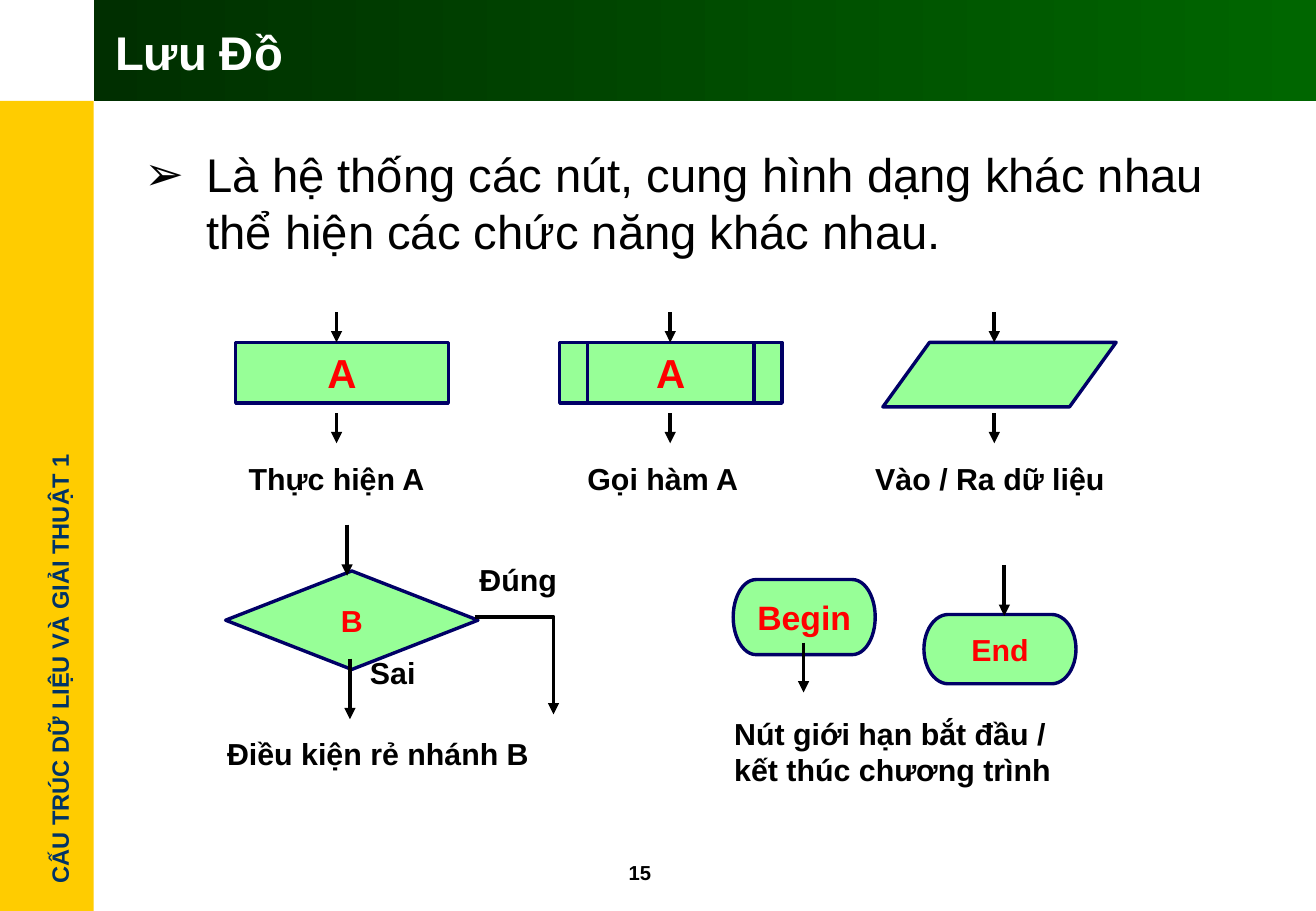
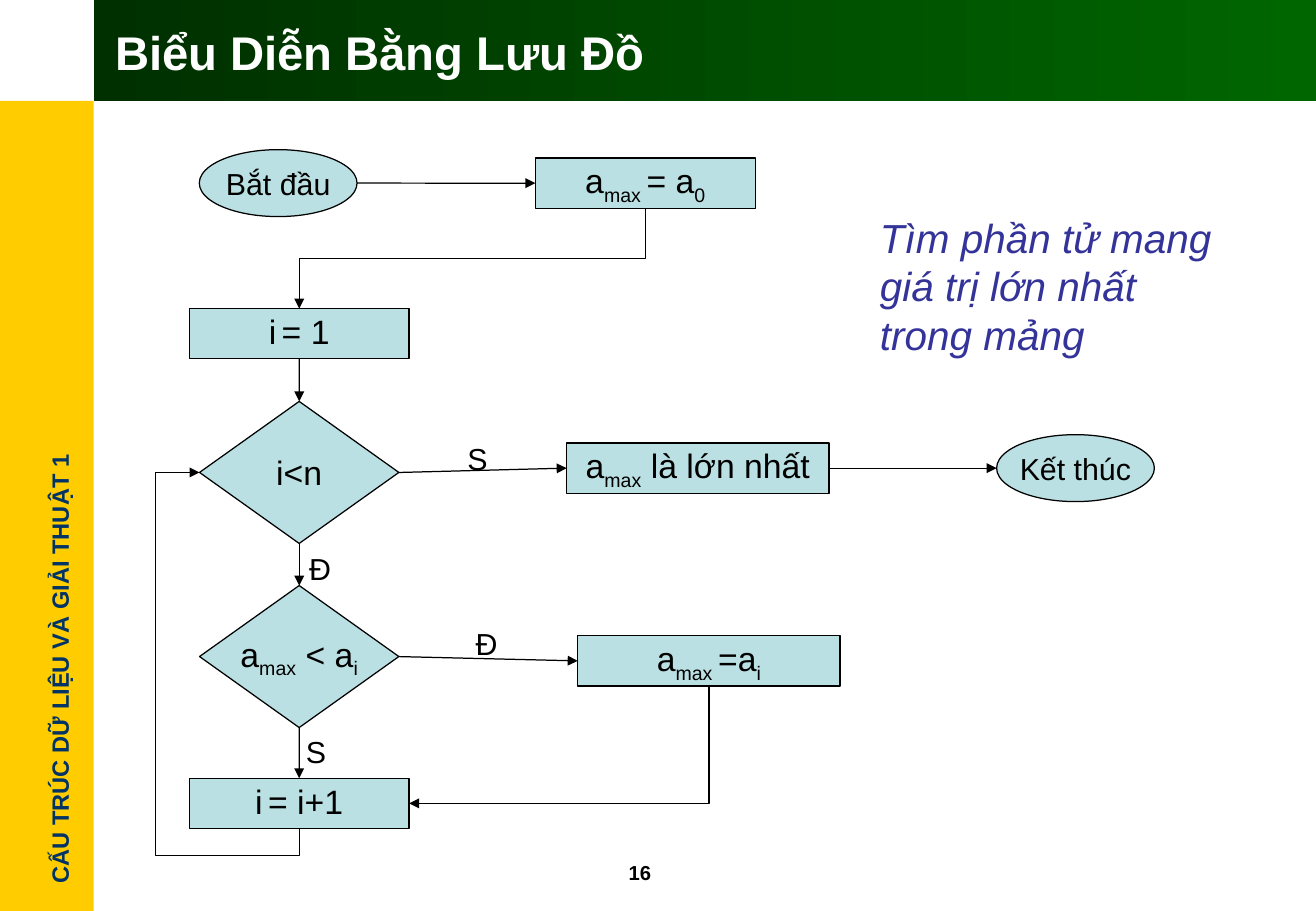
"""Builds two slides on flowcharts: the symbols, and a search for the largest array element."""
from lxml import etree
from pptx import Presentation
from pptx import util as u
from pptx.dml.color import RGBColor
from pptx.enum import shapes, text
from pptx.oxml.ns import qn

SHAPE = shapes.MSO_SHAPE
LINK = shapes.MSO_CONNECTOR
ALIGN = text.PP_ALIGN


class Theme:
    font = "Arial"
    black = RGBColor.from_string("000000")
    white = RGBColor.from_string("FFFFFF")
    side = RGBColor.from_string("FFCC00")
    side_text = RGBColor.from_string("003366")
    band_light = RGBColor.from_string("006600")
    band_dark = RGBColor.from_string("002F00")
    symbol = RGBColor.from_string("97FF97")
    symbol_line = RGBColor.from_string("000066")
    symbol_text = RGBColor.from_string("FF0000")
    step = RGBColor.from_string("BBE0E3")
    note = RGBColor.from_string("333399")
    heading, large, medium, label, course, number = 28, 24, 20, 18, 14, 12
    thick, medium_line, thin = 2.25, 2, 0.75


def add_box(page, place, words="", size=Theme.label, color=Theme.black, kind=None, fill=None,
            line=None, bold=False, italic=False, wrap=False, middle=False):
    """Add a text box or filled shape; every second part of words between bars is a subscript."""
    place = [u.Cm(value) for value in place]
    if kind is None:
        box = page.shapes.add_textbox(*place)
    else:
        box = page.shapes.add_shape(kind, *place)
        box.shadow.inherit = False
        box.fill.solid()
        box.fill.fore_color.rgb = fill
        if line:
            box.line.color.rgb, box.line.width = line[0], u.Pt(line[1])
        else:
            box.line.fill.background()
    if words:
        frame = box.text_frame
        frame.word_wrap = wrap
        frame.vertical_anchor = text.MSO_ANCHOR.MIDDLE if kind or middle else text.MSO_ANCHOR.TOP
        para = frame.paragraphs[0]
        para.alignment = ALIGN.CENTER if kind else ALIGN.LEFT
        for index, part in enumerate(words.split("|")):
            span = para.add_run()
            span.text = part
            if index % 2:
                span._r.get_or_add_rPr().set("baseline", "-25000")
        font = para.font
        font.name, font.size, font.bold, font.italic = Theme.font, u.Pt(size), bold, italic
        font.color.rgb = color
    return box


def style_arrow(arrow, width):
    """Give a connector or open outline a black line with a head at its end."""
    arrow.line.color.rgb, arrow.line.width = Theme.black, u.Pt(width)
    etree.SubElement(arrow.line._get_or_add_ln(), qn("a:tailEnd"), type="triangle")
    etree.SubElement(arrow._element.spPr, qn("a:effectLst"))
    return arrow


deck = Presentation()
deck.slide_width, deck.slide_height = u.Cm(27.53), u.Cm(19.05)

pages = []
for number, title in ((15, "Lưu Đồ"), (16, "Biểu Diễn Bằng Lưu Đồ")):
    page = deck.slides.add_slide(deck.slide_layouts[6])
    add_box(page, (0, 2.11, 1.96, 16.94), kind=SHAPE.RECTANGLE, fill=Theme.side)
    course = add_box(page, (-3.48, 13.56, 9.47, 0.86), "CẤU TRÚC DỮ LIỆU VÀ GIẢI THUẬT 1",
                     Theme.course, Theme.side_text, bold=True)
    course.rotation = 270
    band = add_box(page, (1.96, 0, 25.57, 2.11), kind=SHAPE.RECTANGLE, fill=Theme.band_dark)
    band.fill.gradient()
    band.fill.gradient_angle = 180
    for stop, color in zip(band.fill.gradient_stops, (Theme.band_light, Theme.band_dark)):
        stop.color.rgb = color
    add_box(page, (12.9, 17.86, 2.11, 0.76), str(number), Theme.number, bold=True)
    add_box(page, (2.16, 0.23, 24.82, 1.7), title, Theme.heading, Theme.white, bold=True,
            wrap=True, middle=True)
    pages.append(page)
symbols_page, search_page = pages

intro = add_box(symbols_page, (2.77, 2.92, 23.8, 3),
                "Là hệ thống các nút, cung hình dạng khác nhau thể hiện các chức năng khác nhau.",
                Theme.heading, wrap=True)
bullet = intro.text_frame.paragraphs[0]._p.get_or_add_pPr()
bullet.set("marL", str(u.Cm(1.3)))
bullet.set("indent", str(u.Cm(-1.3)))
bullet.insert(0, etree.Element(qn("a:buFont"), typeface=Theme.font))
bullet.insert(1, etree.Element(qn("a:buChar"), char="➢"))

symbol_look = dict(color=Theme.symbol_text, fill=Theme.symbol, bold=True,
                   line=(Theme.symbol_line, Theme.medium_line))
columns = (
    (SHAPE.RECTANGLE, 4.93, 4.45, 1.27, "A", 7.04, "Thực hiện A", 4.95, 4.6),
    (SHAPE.FLOWCHART_PREDEFINED_PROCESS, 11.71, 4.65, 1.27, "A", 14.02, "Gọi hàm A", 12.04, 4.1),
    (SHAPE.FLOWCHART_DATA, 18.47, 4.88, 1.35, "", 20.8, "Vào / Ra dữ liệu", 18.06, 5.7),
)
arrows = [(7.26, 10.97, 12.04), (7.32, 13.77, 15.04), (16.81, 13.44, 14.48), (21.01, 11.81, 12.88)]
captions = [("Điều kiện rẻ nhánh B", 4.5, 15.24, 7.3), ("Đúng", 9.78, 11.61, 2.5),
            ("Sai", 7.49, 13.56, 1.9)]
for kind, left, width, height, word, x, caption, caption_left, caption_width in columns:
    add_box(symbols_page, (left, 7.16, width, height), word, Theme.large, kind=kind, **symbol_look)
    arrows += [(x, 6.53, 7.16), (x, 8.64, 9.27)]
    captions.append((caption, caption_left, 9.5, caption_width))

for kind, place, word, size in (
    (SHAPE.FLOWCHART_DECISION, (4.72, 11.94, 5.28, 2.06), "B", Theme.label),
    (SHAPE.FLOWCHART_TERMINATOR, (15.34, 12.12, 2.97, 1.57), "Begin", Theme.medium),
    (SHAPE.FLOWCHART_TERMINATOR, (19.33, 12.85, 3.18, 1.45), "End", Theme.label),
):
    add_box(symbols_page, place, word, size, kind=kind, **symbol_look)

for x, top, bottom in arrows:
    arrow = symbols_page.shapes.add_connector(LINK.STRAIGHT, u.Cm(x), u.Cm(top), u.Cm(x), u.Cm(bottom))
    style_arrow(arrow, Theme.thick)

outline = symbols_page.shapes.build_freeform(u.Cm(9.93), u.Cm(12.9))
outline.add_line_segments([(u.Cm(11.58), u.Cm(12.9)), (u.Cm(11.58), u.Cm(14.94))], close=False)
branch = outline.convert_to_shape()
branch.fill.background()
style_arrow(branch, Theme.thick)

for caption, left, top, width in captions:
    add_box(symbols_page, (left, top, width, 1.02), caption, bold=True)
add_box(symbols_page, (15.11, 14.83, 8.03, 1.78), "Nút giới hạn bắt đầu / kết thúc chương trình",
        bold=True, wrap=True)

steps = {}
for name, kind, x, y, width, height, words in (
    ("start", SHAPE.OVAL, 5.82, 3.83, 3.3, 1.4, "Bắt đầu"),
    ("first", SHAPE.RECTANGLE, 13.5, 3.83, 4.6, 1.05, "a|max |= a|0"),
    ("index", SHAPE.RECTANGLE, 6.26, 6.98, 4.6, 1.05, "i| |= 1"),
    ("more", SHAPE.DIAMOND, 6.26, 9.88, 4.17, 2.97, "i<n"),
    ("result", SHAPE.RECTANGLE, 14.6, 9.79, 5.49, 1.05, "a|max| là lớn nhất"),
    ("finish", SHAPE.OVAL, 22.5, 9.79, 3.3, 1.4, "Kết thúc"),
    ("compare", SHAPE.DIAMOND, 6.26, 13.73, 4.17, 2.97, "a|max| < a|i"),
    ("next", SHAPE.RECTANGLE, 6.26, 16.8, 4.6, 1.05, "i| |= i+1"),
    ("assign", SHAPE.RECTANGLE, 14.83, 13.82, 5.49, 1.05, "a|max |=a|i"),
):
    size = Theme.label if kind == SHAPE.OVAL else Theme.medium
    steps[name] = add_box(search_page, (x - width / 2, y - height / 2, width, height), words, size,
                          kind=kind, fill=Theme.step, line=(Theme.black, Theme.thin))

for source, source_side, target, target_side, bend in (
    ("start", 3, "first", 1, None),
    ("first", 2, "index", 0, ("bentConnector3", 90, False, (50000,))),
    ("index", 2, "more", 0, None),
    ("more", 2, "compare", 0, None),
    ("compare", 2, "next", 0, None),
    ("next", 2, "more", 1, ("bentConnector4", 270, True, (-7500, 144200))),
    ("more", 3, "result", 1, None),
    ("result", 3, "finish", 1, None),
    ("compare", 3, "assign", 1, None),
    ("assign", 2, "next", 3, ("bentConnector2", 90, False, ())),
):
    begin, end = steps[source], steps[target]
    arrow = search_page.shapes.add_connector(
        LINK.ELBOW if bend else LINK.STRAIGHT, begin.left + begin.width, begin.top + begin.height // 2,
        end.left, end.top + end.height // 2)
    if source != "start":
        arrow.begin_connect(begin, source_side)
    if target != "finish":
        arrow.end_connect(end, target_side)
    if bend:
        preset, turn, flip, bends = bend
        across, down = abs(arrow.end_x - arrow.begin_x), abs(arrow.end_y - arrow.begin_y)
        left = (arrow.begin_x + arrow.end_x - down) // 2
        top = (arrow.begin_y + arrow.end_y - across) // 2
        arrow.left, arrow.top, arrow.width, arrow.height = left, top, down, across
        frame = arrow._element.spPr.find(qn("a:xfrm"))
        for key, value in (("rot", turn * 60000), ("flipH", 0), ("flipV", int(flip))):
            frame.set(key, str(value))
        geometry = arrow._element.spPr.find(qn("a:prstGeom"))
        geometry.set("prst", preset)
        for index, value in enumerate(bends, 1):
            etree.SubElement(geometry.find(qn("a:avLst")), qn("a:gd"), name=f"adj{index}",
                             fmla=f"val {value}")
    style_arrow(arrow, Theme.thin)

for answer, left, top in (("S", 9.53, 9.07), ("S", 6.15, 15.21), ("Đ", 6.22, 11.38), ("Đ", 9.7, 12.95)):
    add_box(search_page, (left, top, 1.2, 1.02), answer)
add_box(search_page, (18.16, 4.32, 7.59, 3.3), "Tìm phần tử mang giá trị lớn nhất trong mảng",
        Theme.large, Theme.note, italic=True, wrap=True)

deck.save("out.pptx")
